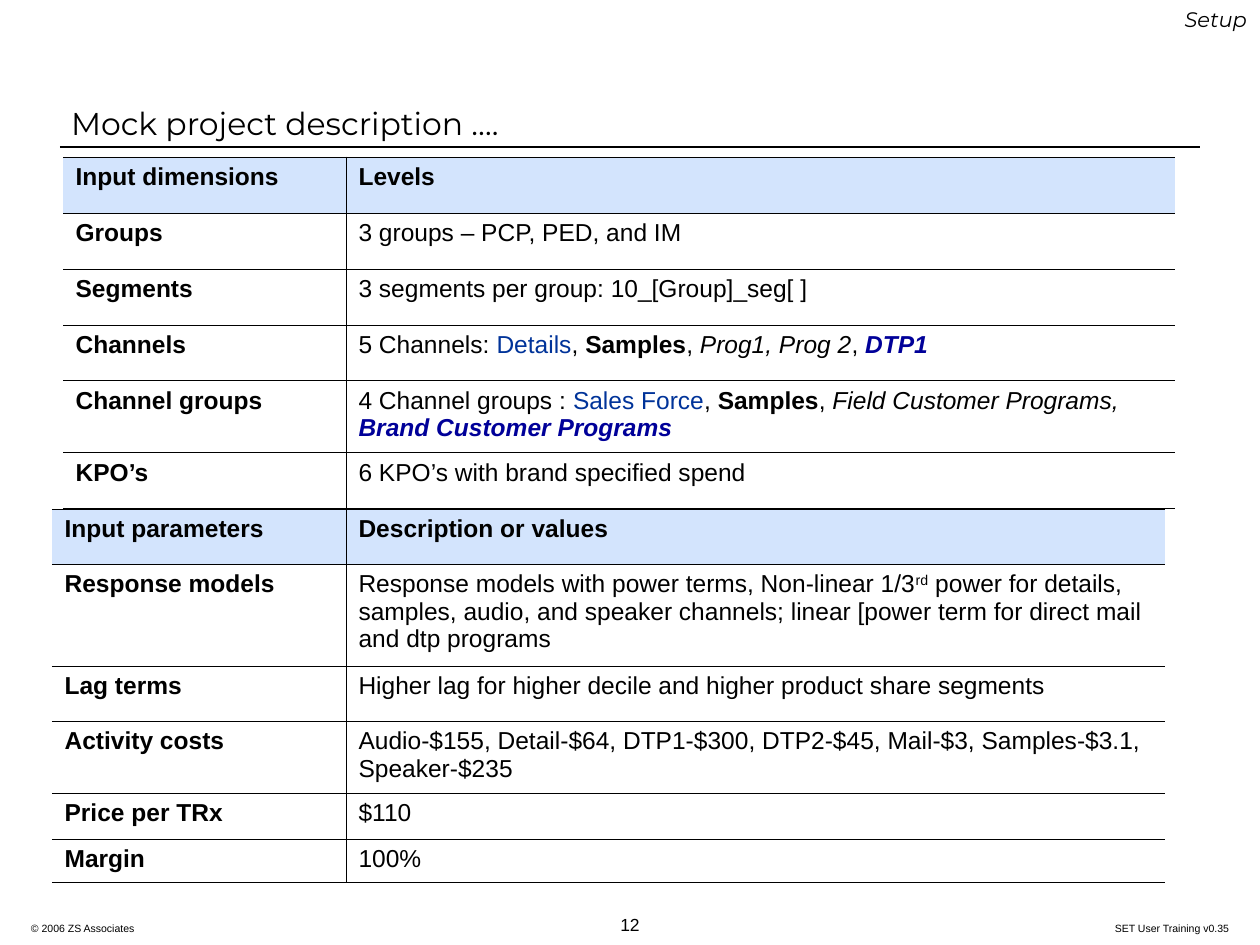
"""Builds the mock project description slide with its two input tables."""
from lxml import etree
from pptx import Presentation
from pptx import util as u
from pptx.dml.color import RGBColor
from pptx.enum import shapes, text
from pptx.oxml.ns import qn

BLACK = RGBColor(0x00, 0x00, 0x00)
BLUE = RGBColor(0x00, 0x33, 0x99)
NAVY = RGBColor(0x00, 0x00, 0x99)
HEADER = RGBColor(0xD3, 0xE4, 0xFD)

PX = u.Inches(1) // 126
BODY, HEADING = "Arial", "Montserrat"
BORDER = u.Pt(0.45)

STYLES = {
    "plain": {},
    "bold": {"bold": True},
    "italic": {"italic": True},
    "blue": {"color": BLUE},
    "navy": {"bold": True, "italic": True, "color": NAVY},
    "super": {"raised": True},
}

TITLE = "Mock project description …."

TABLES = [
    {
        "at": (63, 157), "cols": (283, 829), "rows": (56, 56, 56, 56, 72, 56),
        "cells": [
            ("Input dimensions", [("Levels", "bold")]),
            ("Groups", [("3 groups – PCP, PED, and IM", "plain")]),
            ("Segments", [("3 segments per group: 10_[Group]_seg[ ]", "plain")]),
            ("Channels", [("5 Channels: ", "plain"), ("Details", "blue"), (", ", "plain"),
                          ("Samples", "bold"), (", ", "plain"), ("Prog1, Prog 2", "italic"),
                          (", ", "plain"), ("DTP1", "navy")]),
            ("Channel groups", [("4 Channel groups : ", "plain"), ("Sales Force", "blue"),
                                (", ", "plain"), ("Samples", "bold"), (", ", "plain"),
                                ("Field Customer Programs, ", "italic"),
                                ("Brand Customer Programs", "navy")]),
            ("KPO’s", [("6 KPO’s with brand specified spend", "plain")]),
        ],
    },
    {
        "at": (52, 509), "cols": (294, 819), "rows": (55, 102, 55, 72, 46, 43),
        "cells": [
            ("Input parameters", [("Description or values", "bold")]),
            ("Response models", [
                ("Response models with power terms, Non-linear 1/3", "plain"), ("rd", "super"),
                (" power for details, samples, audio, and speaker channels; "
                 "linear [power term for direct mail and dtp programs", "plain")]),
            ("Lag terms", [
                ("Higher lag for higher decile and higher product share segments", "plain")]),
            ("Activity costs", [
                ("Audio-$155, Detail-$64, DTP1-$300, DTP2-$45, Mail-$3, "
                 "Samples-$3.1, Speaker-$235", "plain")]),
            ("Price per TRx", [("$110", "plain")]),
            ("Margin", [("100%", "plain")]),
        ],
    },
]

LEFT, CENTER, RIGHT = text.PP_ALIGN.LEFT, text.PP_ALIGN.CENTER, text.PP_ALIGN.RIGHT
LABELS = [
    ("Setup", (976, 0, 284, 38), (13, 6), RIGHT, HEADING, 12, True, 1),
    ("12", (567, 916, 126, 19), (0, 0), CENTER, BODY, 10, False, 1),
    ("© 2006 ZS Associates", (31, 917, 300, 18), (0, 0), LEFT, BODY, 6, False, 0.8),
    ("SET User Training v0.35", (929, 917, 300, 18), (0, 0), RIGHT, BODY, 6, False, 0.8),
]


def set_font(font, name, size, bold=False, italic=False, color=BLACK, raised=False):
    font.name, font.size, font.bold, font.italic = name, u.Pt(size), bold, italic
    font.color.rgb = color
    if raised:
        font._element.set("baseline", "30000")


def set_frame(tf, insets):
    tf.word_wrap = True
    tf.vertical_anchor = text.MSO_ANCHOR.BOTTOM
    tf.margin_left = tf.margin_right = insets[0] * PX
    tf.margin_top = tf.margin_bottom = insets[1] * PX


def set_borders(cell, hidden):
    tcPr = cell._tc.get_or_add_tcPr()
    for i, side in enumerate(("lnL", "lnR", "lnT", "lnB")):
        ln = etree.Element(qn("a:" + side), w=str(BORDER))
        if side == hidden:
            etree.SubElement(ln, qn("a:noFill"))
        else:
            fill = etree.SubElement(ln, qn("a:solidFill"))
            etree.SubElement(fill, qn("a:srgbClr"), val=str(BLACK))
        tcPr.insert(i, ln)


def add_table(s, at, cols, rows, cells):
    x, y, w, h = (n * PX for n in (*at, sum(cols), sum(rows)))
    table = s.shapes.add_table(len(rows), len(cols), x, y, w, h).table
    table.first_row = table.horz_banding = False
    for column, width in zip(table.columns, cols):
        column.width = width * PX
    for r, (height, (name, value)) in enumerate(zip(rows, cells)):
        table.rows[r].height = height * PX
        for c, runs in enumerate(([(name, "bold")], value)):
            cell = table.cell(r, c)
            if r == 0:
                cell.fill.solid()
                cell.fill.fore_color.rgb = HEADER
            else:
                cell.fill.background()
            set_borders(cell, ("lnL", "lnR")[c])
            p = cell.text_frame.paragraphs[0]
            for words, style in runs:
                run = p.add_run()
                run.text = words
                set_font(run.font, BODY, 14, **STYLES[style])


def add_label(s, words, box, insets, align, name, size, italic, spacing):
    tf = s.shapes.add_textbox(*(n * PX for n in box)).text_frame
    set_frame(tf, insets)
    tf.text = words
    p = tf.paragraphs[0]
    p.alignment, p.line_spacing = align, spacing
    set_font(p.runs[0].font, name, size, italic=italic)


def main():
    prs = Presentation()
    prs.slide_width, prs.slide_height = 1260 * PX, 945 * PX
    s = prs.slides.add_slide(prs.slide_layouts[5])

    title = s.shapes.title
    title.left, title.top, title.width, title.height = (n * PX for n in (60, 29, 1140, 118))
    tf = title.text_frame
    set_frame(tf, (11, 5))
    tf.text = TITLE
    tf.paragraphs[0].alignment = LEFT
    set_font(tf.paragraphs[0].runs[0].font, HEADING, 18)

    rule = s.shapes.add_connector(shapes.MSO_CONNECTOR.STRAIGHT,
                                  *(n * PX for n in (60, 147, 1200, 147)))
    rule.line.color.rgb, rule.line.width = BLACK, u.Pt(1)
    etree.SubElement(rule._element.spPr, qn("a:effectLst"))

    for table in TABLES:
        add_table(s, **table)
    for label in LABELS:
        add_label(s, *label)
    prs.save("out.pptx")


if __name__ == "__main__":
    main()
